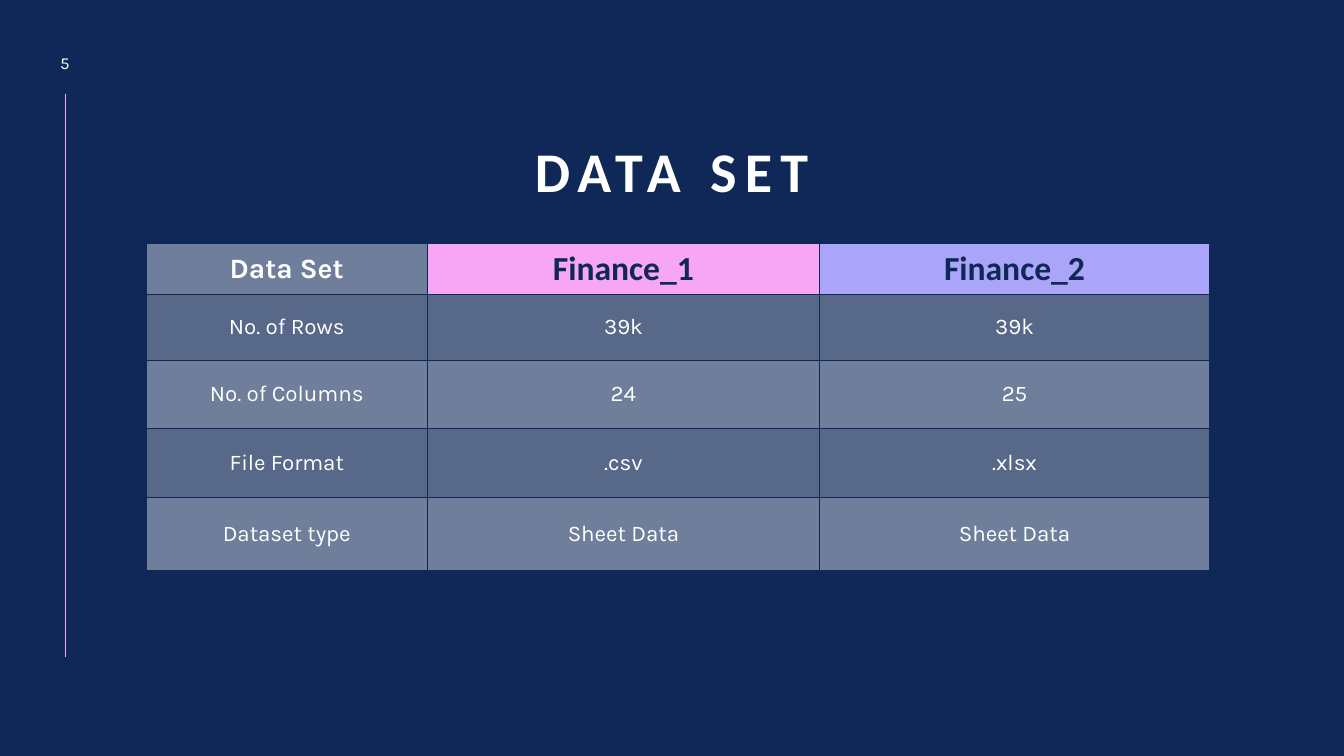
from dataclasses import dataclass

import lxml.etree
import pptx
import pptx.dml.color
import pptx.enum.shapes
import pptx.enum.text
import pptx.oxml
import pptx.oxml.ns
import pptx.util

Pt = pptx.util.Pt
qn = pptx.oxml.ns.qn


@dataclass(frozen=True)
class TextStyle:
    font: str
    size: float
    color: str
    bold: bool = False
    spacing: float = 0


@dataclass(frozen=True)
class Fill:
    color: str
    opacity: int = 100


@dataclass(frozen=True)
class Area:
    left: float
    top: float
    width: float
    height: float


@dataclass(frozen=True)
class Theme:
    navy: str = "102857"
    pink: str = "F6A6F4"
    title: TextStyle = TextStyle("Calibri", 40, "FFFFFF", True, 6)
    number: TextStyle = TextStyle("Karla", 12, "FFFFFF")
    corner: TextStyle = TextStyle("Karla", 20, "FFFFFF", True)
    header: TextStyle = TextStyle("Calibri", 24, "102857", True)
    body: TextStyle = TextStyle("Karla", 16, "FFFFFF")
    header_fills: tuple[Fill, ...] = (Fill("FFFFFF", 40), Fill("F6A6F4"), Fill("AAA5F9"))
    band_fills: tuple[Fill, ...] = (Fill("FFFFFF", 40), Fill("FFFFFF", 30))


THEME = Theme()
COLUMN_WIDTHS = (200.9, 280.1, 278.6)
ROW_HEIGHTS = (33.8, 47.5, 48.2, 49.7, 51.8)
DATA_SETS = (
    ("Data Set", "Finance_1", "Finance_2"),
    ("No. of Rows", "39k", "39k"),
    ("No. of Columns", "24", "25"),
    ("File Format", ".csv", ".xlsx"),
    ("Dataset type", "Sheet Data", "Sheet Data"),
)


def rgb(color: str) -> pptx.dml.color.RGBColor:
    return pptx.dml.color.RGBColor.from_string(color)


def write(frame, text: str, style: TextStyle) -> None:
    """Put one centred paragraph in a text frame."""
    para = frame.paragraphs[0]
    para.add_run().text = text
    para.alignment = pptx.enum.text.PP_ALIGN.CENTER
    font = para.font
    font.name, font.size, font.bold = style.font, Pt(style.size), style.bold
    font.color.rgb = rgb(style.color)
    if style.spacing:
        for span in para.runs:
            span.font._element.set("spc", str(round(style.spacing * 100)))


def add_text(page, area: Area, text: str, style: TextStyle, anchor):
    box = page.shapes.add_textbox(Pt(area.left), Pt(area.top), Pt(area.width), Pt(area.height))
    frame = box.text_frame
    frame.word_wrap = True
    frame.vertical_anchor = anchor
    write(frame, text, style)
    return box


def paint_cell(cell, fill: Fill) -> None:
    """Fill a cell and rule its four sides in the background colour."""
    cell.fill.solid()
    cell.fill.fore_color.rgb = rgb(fill.color)
    properties = cell._tc.get_or_add_tcPr()
    if fill.opacity < 100:
        color = properties.find(f"{qn('a:solidFill')}/{qn('a:srgbClr')}")
        lxml.etree.SubElement(color, qn("a:alpha"), val=str(fill.opacity * 1000))
    for index, side in enumerate(("a:lnL", "a:lnR", "a:lnT", "a:lnB")):
        border = lxml.etree.Element(qn(side), w=str(Pt(1)))
        solid = lxml.etree.SubElement(border, qn("a:solidFill"))
        lxml.etree.SubElement(solid, qn("a:srgbClr"), val=THEME.navy)
        properties.insert(index, border)


def add_data_table(page, area: Area) -> None:
    table = page.shapes.add_table(
        len(ROW_HEIGHTS), len(COLUMN_WIDTHS),
        Pt(area.left), Pt(area.top), Pt(area.width), Pt(area.height),
    ).table
    for column, width in zip(table.columns, COLUMN_WIDTHS):
        column.width = Pt(width)
    for row, height in zip(table.rows, ROW_HEIGHTS):
        row.height = Pt(height)
    for row_index, texts in enumerate(DATA_SETS):
        for column_index, text in enumerate(texts):
            if row_index == 0:
                style = THEME.header if column_index else THEME.corner
                fill = THEME.header_fills[column_index]
            else:
                style = THEME.body
                fill = THEME.band_fills[row_index % 2]
            cell = table.cell(row_index, column_index)
            cell.vertical_anchor = pptx.enum.text.MSO_ANCHOR.MIDDLE
            write(cell.text_frame, text, style)
            paint_cell(cell, fill)


def add_side_line(page, left: float, top: float, bottom: float) -> None:
    line = page.shapes.add_connector(
        pptx.enum.shapes.MSO_CONNECTOR.STRAIGHT, Pt(left), Pt(top), Pt(left), Pt(bottom)
    )
    line.line.color.rgb = rgb(THEME.pink)
    line.line.width = Pt(0.5)
    lxml.etree.SubElement(line._element.spPr, qn("a:effectLst"))


def main() -> None:
    deck = pptx.Presentation()
    deck.slide_width, deck.slide_height = Pt(960), Pt(540)
    page = deck.slides.add_slide(deck.slide_layouts[6])
    page.background.fill.solid()
    page.background.fill.fore_color.rgb = rgb(THEME.navy)

    # Side line and page number
    add_side_line(page, 46.8, 67, 469.4)
    anchors = pptx.enum.text.MSO_ANCHOR
    add_text(page, Area(25.9, 32.4, 41, 24.5), "5", THEME.number, anchors.MIDDLE)

    # Title
    title = add_text(page, Area(86.4, 65.5, 787, 84.2), "DATA SET", THEME.title, anchors.BOTTOM)
    title.text_frame.paragraphs[0].line_spacing = 0.9

    # Data set table
    add_data_table(page, Area(104.4, 174.2, sum(COLUMN_WIDTHS), sum(ROW_HEIGHTS)))

    deck.save("out.pptx")


if __name__ == "__main__":
    main()
